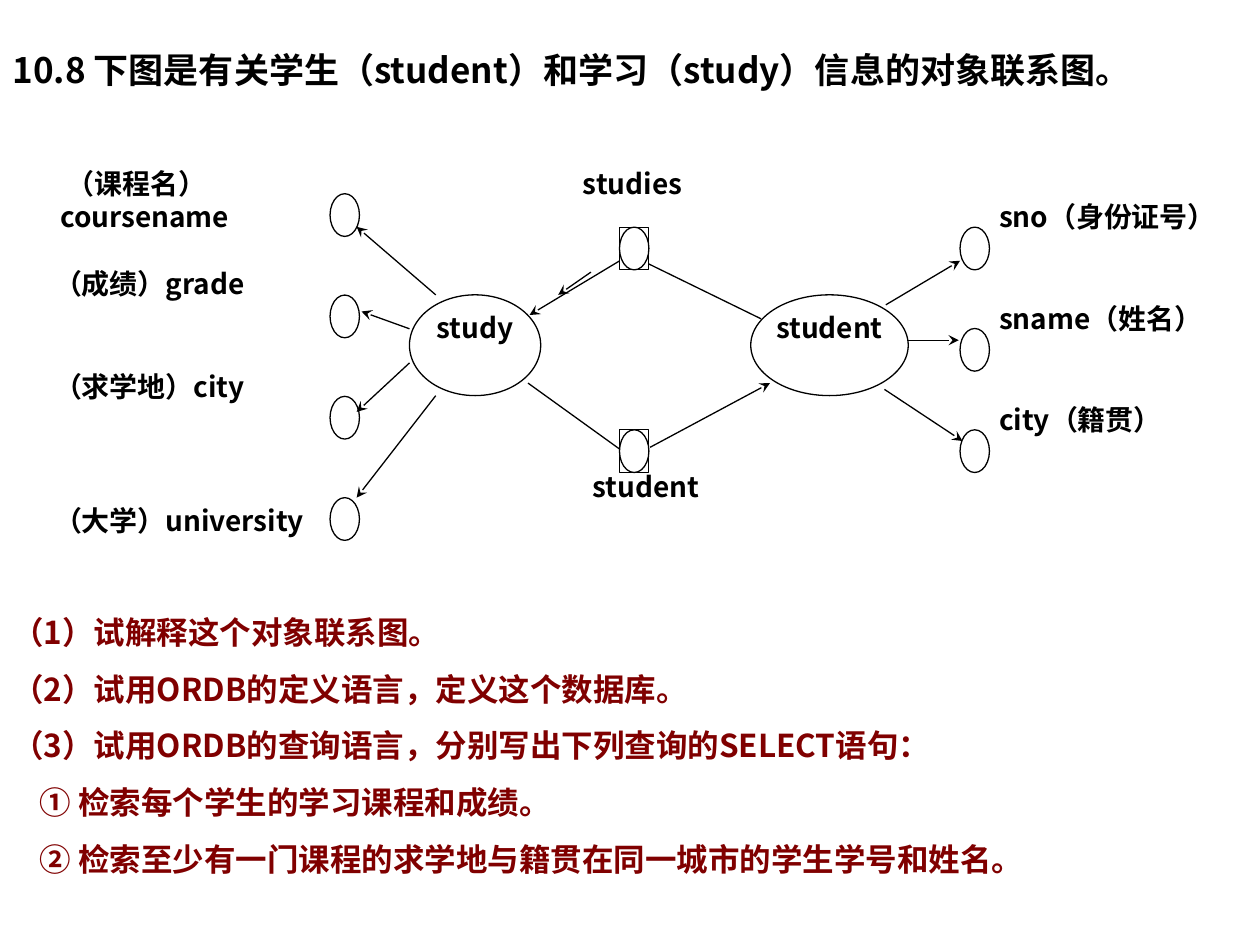
from lxml.etree import SubElement
from pptx import Presentation
from pptx.dml.color import RGBColor
from pptx.enum.shapes import MSO_CONNECTOR, MSO_SHAPE
from pptx.enum.text import MSO_ANCHOR, PP_ALIGN
from pptx.oxml.ns import qn
from pptx.util import Pt

FONT = "Noto Sans CJK SC"
BLACK, WHITE, MAROON = "000000", "FFFFFF", "800000"
DOT_WIDTH, DOT_HEIGHT, DOT_PITCH = 16.8, 24.4, 57.9
LEFT_DOTS, MIDDLE_DOTS, RIGHT_DOTS = 188.6, 354, 548.6


def color(hex_string):
    return RGBColor.from_string(hex_string)


def write(frame, lines, size, hex_color=BLACK, align=PP_ALIGN.LEFT,
          spacing=None, indents=None, inset_x=7.2, inset_y=3.6):
    """Fill a text frame with one paragraph per line."""
    frame.word_wrap = True
    frame.vertical_anchor = MSO_ANCHOR.TOP
    frame.margin_left = frame.margin_right = Pt(inset_x)
    frame.margin_top = frame.margin_bottom = Pt(inset_y)
    for index, line in enumerate(lines):
        paragraph = frame.paragraphs[0] if index == 0 else frame.add_paragraph()
        paragraph.text = line
        paragraph.alignment = align
        if spacing:
            paragraph.line_spacing = spacing
        properties = paragraph._p.get_or_add_pPr()
        if indents:
            properties.set("marL", str(Pt(indents[index])))
        font = paragraph.font
        font.name, font.size, font.bold = FONT, Pt(size), True
        font.color.rgb = color(hex_color)
        # East Asian characters take their own font entry
        SubElement(properties.find(qn("a:defRPr")), qn("a:ea"), typeface=FONT)


def add_text(slide, left, top, width, height, lines, size=16, **options):
    box = slide.shapes.add_textbox(Pt(left), Pt(top), Pt(width), Pt(height))
    write(box.text_frame, lines, size, **options)


def add_outline(slide, kind, left, top, width, height):
    shape = slide.shapes.add_shape(kind, Pt(left), Pt(top), Pt(width), Pt(height))
    shape.shadow.inherit = False
    shape.fill.solid()
    shape.fill.fore_color.rgb = color(WHITE)
    shape.line.color.rgb = color(BLACK)
    shape.line.width = Pt(0.75)
    return shape


def add_entity(slide, left, width, name):
    ellipse = add_outline(slide, MSO_SHAPE.OVAL, left, 168.5, width, 57.6)
    write(ellipse.text_frame, [name], 16, align=PP_ALIGN.CENTER,
          inset_x=0, inset_y=0.72)


def add_dot(slide, left, top, kind=MSO_SHAPE.OVAL):
    add_outline(slide, kind, left, top, DOT_WIDTH, DOT_HEIGHT)


def add_line(slide, start_x, start_y, end_x, end_y, arrow=True):
    connector = slide.shapes.add_connector(
        MSO_CONNECTOR.STRAIGHT, Pt(start_x), Pt(start_y), Pt(end_x), Pt(end_y))
    connector.line.color.rgb = color(BLACK)
    connector.line.width = Pt(0.75)
    if arrow:
        SubElement(connector.line._get_or_add_ln(), qn("a:tailEnd"), type="stealth")
    SubElement(connector._element.spPr, qn("a:effectLst"))


def add_diagram(slide):
    # Entities and their attributes
    add_entity(slide, 234, 75, "study")
    add_entity(slide, 429, 90, "student")
    for row in range(4):
        add_dot(slide, LEFT_DOTS, 110.7 + row * DOT_PITCH)
    for row in range(3):
        add_dot(slide, RIGHT_DOTS, 129.8 + row * DOT_PITCH)

    # Arrows from entities to attributes, and between entities
    arrows = [
        (249, 168.5, 203.8, 129.6), (234, 187.9, 206.6, 178),
        (234, 207.4, 203.8, 235.4), (249, 226.1, 203.8, 284.4),
        (506.2, 174.2, 548.6, 149), (519, 194.4, 547.9, 194.4),
        (505.4, 222.5, 550, 252),
        (354.2, 149, 302.6, 180), (337.7, 155.5, 319, 168.5),
        (371.5, 255.6, 440, 218.9),
    ]
    for points in arrows:
        add_line(slide, *points)
    for points in [(301.7, 218.9, 355.7, 257.8), (368.6, 149.8, 434.9, 182.2)]:
        add_line(slide, *points, arrow=False)

    # Relationship nodes: a circle in a square
    for top in (129.8, 129.8 + 2 * DOT_PITCH):
        for kind in (MSO_SHAPE.RECTANGLE, MSO_SHAPE.OVAL):
            add_dot(slide, MIDDLE_DOTS, top, kind)

    # Labels
    add_text(slide, 23.8, 91.4, 165, 57.6, ["（课程名）", "coursename"],
             indents=[14.4, 10.6], inset_x=0)
    for top, label in [(149, "（成绩）grade"), (207.4, "（求学地）city"),
                       (284.4, "（大学）university")]:
        add_text(slide, 23.8, top, 165, 57.6, [label])
    for row, label in enumerate(["sno（身份证号）", "sname（姓名）", "city（籍贯）"]):
        add_text(slide, 563.8, 110.7 + row * DOT_PITCH, 180, 57.6, [label])
    add_text(slide, 309, 91.4, 105, 38, ["studies"], align=PP_ALIGN.CENTER)
    add_text(slide, 324, 265, 90, 57.6, ["student"], align=PP_ALIGN.CENTER)


def main():
    presentation = Presentation()
    presentation.slide_width, presentation.slide_height = Pt(720), Pt(540)
    slide = presentation.slides.add_slide(presentation.slide_layouts[6])

    # Heading
    add_text(slide, 0, 24, 720, 34,
             ["10.8 下图是有关学生（student）和学习（study）信息的对象联系图。"], size=20)
    add_diagram(slide)

    # Questions
    questions = [
        "（1）试解释这个对象联系图。",
        "（2）试用ORDB的定义语言，定义这个数据库。",
        "（3）试用ORDB的查询语言，分别写出下列查询的SELECT语句：",
        "① 检索每个学生的学习课程和成绩。",
        "② 检索至少有一门课程的求学地与籍贯在同一城市的学生学号和姓名。",
    ]
    add_text(slide, 0, 336, 720, 170, questions, size=18, hex_color=MAROON,
             spacing=1.5, indents=[0, 0, 0, 15.5, 15.5])
    presentation.save("out.pptx")


if __name__ == "__main__":
    main()
